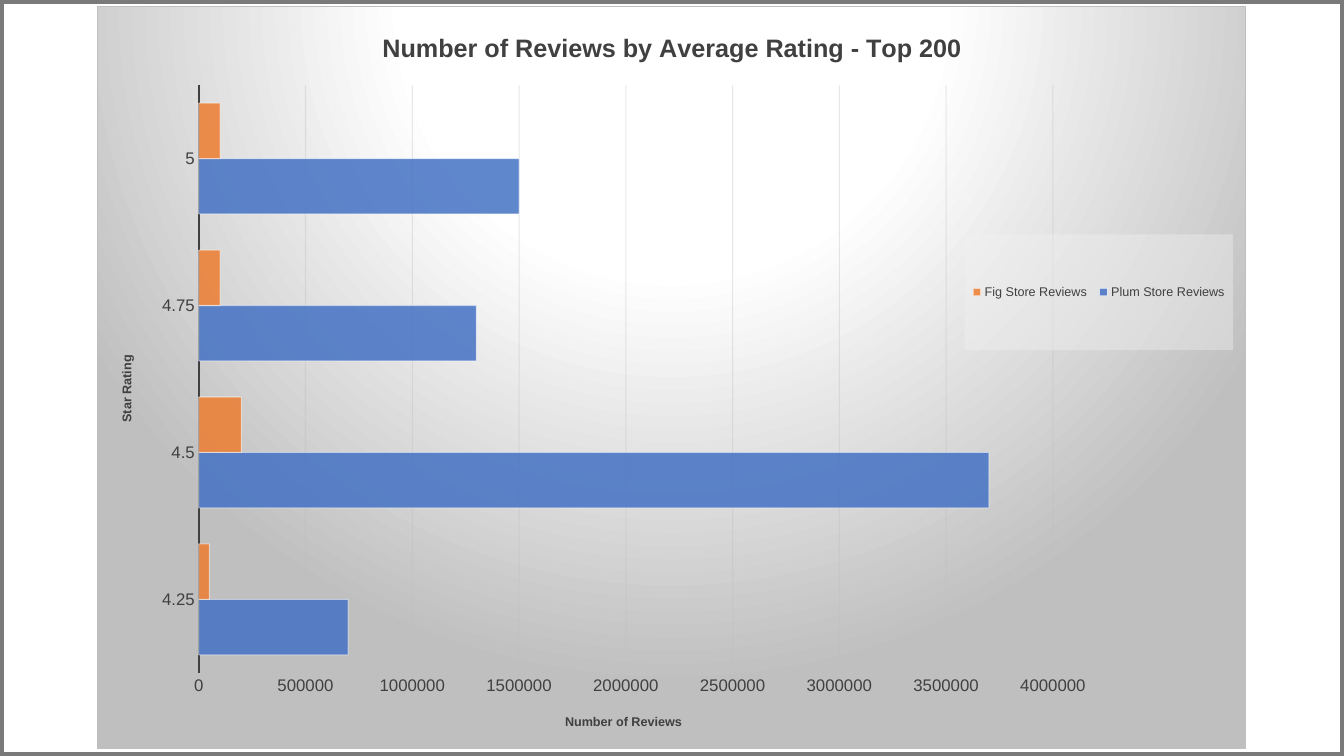
from lxml.etree import SubElement
from pptx import Presentation
from pptx.chart.data import CategoryChartData
from pptx.dml.color import RGBColor
from pptx.enum.chart import XL_CHART_TYPE as ChartType
from pptx.enum.chart import XL_LEGEND_POSITION as LegendPosition
from pptx.enum.chart import XL_TICK_MARK as TickMark
from pptx.enum.shapes import MSO_SHAPE as Shape
from pptx.oxml import parse_xml
from pptx.oxml.ns import nsdecls, qn
from pptx.util import Cm, Pt

WHITE = RGBColor(0xFF, 0xFF, 0xFF)
FRAME_GRAY = RGBColor(0x7A, 0x7A, 0x7A)
SILVER = RGBColor(0xBF, 0xBF, 0xBF)
PALE_GRAY = RGBColor(0xF2, 0xF2, 0xF2)
DARK_GRAY = RGBColor(0x40, 0x40, 0x40)
NEAR_BLACK = RGBColor(0x0D, 0x0D, 0x0D)
BLUE = RGBColor(0x44, 0x72, 0xC4)
ORANGE = RGBColor(0xED, 0x7D, 0x31)

RATINGS = ["4.25", "4.5", "4.75", "5"]
REVIEWS = [
    ("Plum Store Reviews", BLUE, [700000, 3700000, 1300000, 1500000]),
    ("Fig Store Reviews", ORANGE, [50000, 200000, 100000, 100000]),
]
# Each stop is a position, a colour and an opacity, in percent.
BACKGROUND_STOPS = [(0, WHITE, 100), (39, WHITE, 100), (100, SILVER, 100)]
GRIDLINE_STOPS = [(100, NEAR_BLACK, 42), (0, SILVER, 36)]


def set_alpha(properties, percent):
    """Make every colour inside a shape-properties element translucent."""
    for color in properties.iter(qn("a:srgbClr")):
        SubElement(color, qn("a:alpha"), val=str(percent * 1000))


def gradient(stops, direction):
    """Return the XML of a gradient fill."""
    stop_list = "".join(
        f'<a:gs pos="{position * 1000}"><a:srgbClr val="{color}">'
        f'<a:alpha val="{opacity * 1000}"/></a:srgbClr></a:gs>'
        for position, color, opacity in stops
    )
    return (f'<a:gradFill {nsdecls("a")}><a:gsLst>{stop_list}</a:gsLst>'
            f'{direction}</a:gradFill>')


def place(element, x, y, width=None, height=None, inner=False):
    """Give a chart part a manual layout, in fractions of the chart."""
    for layout in element.findall(qn("c:layout")):
        element.remove(layout)
    layout = parse_xml(f"<c:layout {nsdecls('c')}><c:manualLayout/></c:layout>")
    values = {"xMode": "edge", "yMode": "edge", "x": x, "y": y, "w": width, "h": height}
    if inner:
        values = {"layoutTarget": "inner", **values}
    for name, value in values.items():
        if value is not None:
            SubElement(layout[0], qn(f"c:{name}"), val=str(value))
    overlay = element.find(qn("c:overlay"))
    if overlay is None:
        element.insert(0, layout)
    else:
        overlay.addprevious(layout)


def add_properties(element, content):
    """Insert fill and line XML ahead of the text properties of a chart part."""
    properties = parse_xml(f"<c:spPr {nsdecls('c', 'a')}>{content}</c:spPr>")
    element.find(qn("c:txPr")).addprevious(properties)


class ReviewDeck:
    font_name = "Arial"

    def __init__(self):
        self.presentation = Presentation()
        self.presentation.slide_width = Cm(33.87)
        self.presentation.slide_height = Cm(19.05)
        self.slide = self.presentation.slides.add_slide(self.presentation.slide_layouts[6])

    def style(self, font, size, bold=False):
        formats = {"name": self.font_name, "size": Pt(size), "bold": bold}
        for name, value in formats.items():
            setattr(font, name, value)
        font.color.rgb = DARK_GRAY

    def line(self, line, color, width):
        line.color.rgb = color
        line.width = Pt(width)

    def frame(self):
        shape = self.slide.shapes.add_shape(
            Shape.RECTANGLE, 0, 0, self.presentation.slide_width, self.presentation.slide_height
        )
        shape.shadow.inherit = False
        shape.fill.background()
        self.line(shape.line, FRAME_GRAY, 6)

    def title(self, owner, text_frame, text, size, x, y):
        text_frame.text = text
        self.style(text_frame.paragraphs[0].runs[0].font, size, bold=True)
        place(owner.find(qn("c:title")), x, y)

    def bar_chart(self):
        data = CategoryChartData()
        data.categories = RATINGS
        for name, _, counts in REVIEWS:
            data.add_series(name, counts)
        chart = self.slide.shapes.add_chart(
            ChartType.BAR_CLUSTERED, Cm(2.45), Cm(0.15), Cm(28.96), Cm(18.73), data
        ).chart
        self.style(chart.font, 10)
        self.background(chart)
        self.bars(chart)
        self.axes(chart)
        self.legend(chart)
        chart.has_title = True
        self.title(chart.element.chart, chart.chart_title.text_frame,
                   "Number of Reviews by Average Rating - Top 200", 18, 0.244, 0.028)

    def background(self, chart):
        circle = ('<a:path path="circle">'
                  '<a:fillToRect l="50000" t="-80000" r="50000" b="180000"/></a:path>')
        add_properties(chart.element, (
            gradient(BACKGROUND_STOPS, circle) +
            f'<a:ln w="{Pt(0.75)}"><a:solidFill><a:srgbClr val="{SILVER}"/></a:solidFill></a:ln>'
        ))

    def bars(self, chart):
        plot = chart.plots[0]
        for name, value in {"gap_width": 65, "overlap": 0, "vary_by_categories": False}.items():
            setattr(plot, name, value)
        elements = chart.element.xpath(".//c:ser")
        for series, element, (_, color, _) in zip(plot.series, elements, REVIEWS):
            series.format.fill.solid()
            series.format.fill.fore_color.rgb = color
            self.line(series.format.line, WHITE, 0.75)
            properties = element.find(qn("c:spPr"))
            set_alpha(properties.find(qn("a:solidFill")), 85)
            set_alpha(properties.find(qn("a:ln")), 50)

    def axes(self, chart):
        place(chart.element.xpath(".//c:plotArea")[0], 0.088, 0.106, 0.744, 0.792, inner=True)
        category, value = chart.category_axis, chart.value_axis
        category_element = chart.element.xpath(".//c:catAx")[0]
        value_element = chart.element.xpath(".//c:valAx")[0]
        for axis in (category, value):
            axis.major_tick_mark = axis.minor_tick_mark = TickMark.NONE
            self.style(axis.tick_labels.font, 12)
        self.title(category_element, category.axis_title.text_frame,
                   "Star Rating", 9, 0.016, 0.467)
        self.title(value_element, value.axis_title.text_frame,
                   "Number of Reviews", 9, 0.405, 0.949)
        body = category_element.xpath("./c:title//a:bodyPr")[0]
        for name, setting in {"rot": "-5400000", "vert": "horz"}.items():
            body.set(name, setting)
        category.has_major_gridlines = False
        self.line(category.format.line, DARK_GRAY, 1.5)
        scale = {"minimum_scale": 0, "maximum_scale": 4000000, "major_unit": 500000,
                 "has_major_gridlines": True}
        for name, setting in scale.items():
            setattr(value, name, setting)
        value.tick_labels.number_format = "General"
        value.tick_labels.number_format_is_linked = False
        value.format.line.fill.background()
        self.line(value.major_gridlines.format.line, NEAR_BLACK, 0.75)
        solid = value_element.xpath("./c:majorGridlines//a:solidFill")[0]
        fade = parse_xml(gradient(GRIDLINE_STOPS, '<a:lin ang="5400000" scaled="0"/>'))
        solid.getparent().replace(solid, fade)

    def legend(self, chart):
        chart.has_legend = True
        chart.legend.position = LegendPosition.RIGHT
        chart.legend.include_in_layout = False
        self.style(chart.legend.font, 9)
        element = chart.element.xpath(".//c:legend")[0]
        place(element, 0.755, 0.307, 0.234, 0.156)
        add_properties(element, f'<a:solidFill><a:srgbClr val="{PALE_GRAY}"/></a:solidFill>')
        set_alpha(element.find(qn("c:spPr")), 39)


def main():
    deck = ReviewDeck()
    deck.frame()
    deck.bar_chart()
    deck.presentation.save("out.pptx")


if __name__ == "__main__":
    main()
